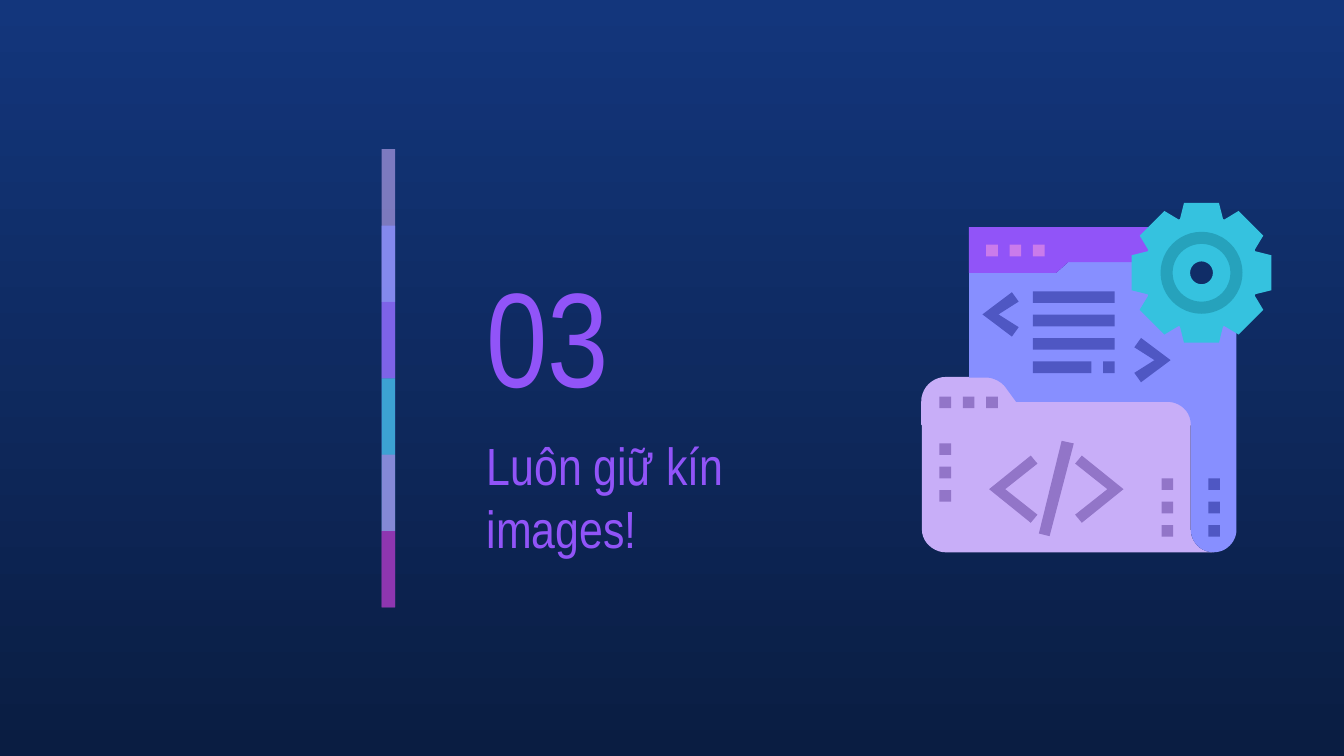
from math import cos, pi, sin

from lxml.etree import SubElement
from pptx import Presentation
from pptx.dml.color import RGBColor
from pptx.enum.shapes import MSO_SHAPE as Preset
from pptx.enum.text import MSO_ANCHOR as Anchor, MSO_AUTO_SIZE as AutoSize, PP_ALIGN as Align
from pptx.oxml.ns import qn
from pptx.util import Inches, Pt

SKY = RGBColor(0x13, 0x36, 0x7C)
NIGHT = RGBColor(0x0A, 0x1D, 0x42)
LILAC = RGBColor(0xC8, 0xAE, 0xF8)
PERIWINKLE = RGBColor(0x87, 0x8F, 0xFF)
VIOLET = RGBColor(0x91, 0x54, 0xF8)
CYAN = RGBColor(0x35, 0xC2, 0xDF)
TEAL = RGBColor(0x26, 0xA2, 0xBC)
ORCHID = RGBColor(0xCA, 0x7B, 0xEB)
MAGENTA = RGBColor(0x97, 0x2C, 0xB4)
PURPLE = RGBColor(0x92, 0x75, 0xC8)
INDIGO = RGBColor(0x4F, 0x57, 0xC3)

FONT = "Arial Narrow"
SLIDE_WIDTH = Inches(10)
SLIDE_HEIGHT = SLIDE_WIDTH * 9 // 16
STRIPES = [(LILAC, 59), (PERIWINKLE, 74), (VIOLET, 53),
           (CYAN, 76), (ORCHID, 56), (MAGENTA, 74)]
STRIPES_TOP, STRIPES_HEIGHT = 1.11, 3.41
STRIPE_STEP = STRIPES_HEIGHT / len(STRIPES)
GRID_LEFT, GRID_TOP = 6.99, 1.82
CELL = 2 / 23
GEAR_X, GEAR_Y = 8.94, 2.03

FOLDER = [(6.86, 3.16), (6.86, 3.94), (6.86, 4.03, 6.94, 4.11, 7.04, 4.11),
          (9.03, 4.11), (8.93, 4.11, 8.86, 4.03, 8.86, 3.94), (8.86, 3.16)]
FOLDER_TAB = [(7.04, 2.81), (6.94, 2.81, 6.86, 2.89, 6.86, 2.99), (6.86, 3.16),
              (8.86, 3.16), (8.86, 3.06, 8.78, 2.99, 8.68, 2.99), (7.56, 2.99),
              (7.48, 2.88), (7.45, 2.84, 7.39, 2.81, 7.34, 2.81)]
PAGE = [(7.95, 1.95), (7.86, 2.03), (7.21, 2.03), (7.21, 2.81), (7.34, 2.81),
        (7.39, 2.81, 7.45, 2.84, 7.48, 2.88), (7.56, 2.99), (8.68, 2.99),
        (8.78, 2.99, 8.86, 3.06, 8.86, 3.16), (8.86, 3.94),
        (8.86, 4.03, 8.93, 4.11, 9.03, 4.11), (9.08, 4.11, 9.12, 4.09, 9.15, 4.06),
        (9.18, 4.03, 9.2, 3.99, 9.2, 3.94), (9.2, 2.3), (9.12, 2.35),
        (8.94, 2.4), (8.75, 2.35), (8.6, 2.2), (8.6, 1.95)]
HEADER = [(7.21, 1.69), (7.21, 2.03), (7.86, 2.03), (7.95, 1.95),
          (8.55, 1.95), (8.55, 1.69)]
SLASH = [(7.9, 3.28), (7.73, 3.97), (7.81, 3.99), (7.99, 3.3)]
TOOTH = [(-0.16, -0.4), (-0.13, -0.52), (0.13, -0.52), (0.16, -0.4)]


def paint(shape, color):
    shape.shadow.inherit = False
    shape.fill.solid()
    shape.fill.fore_color.rgb = color
    shape.line.fill.background()
    return shape


def flatten(outline, steps=10):
    points = []
    for node in outline:
        if len(node) == 2:
            points.append(node)
            continue
        x0, y0 = points[-1]
        x1, y1, x2, y2, x3, y3 = node
        for step in range(1, steps + 1):
            t = step / steps
            a, b, c, d = (1 - t) ** 3, 3 * t * (1 - t) ** 2, 3 * t * t * (1 - t), t ** 3
            points.append((a * x0 + b * x1 + c * x2 + d * x3,
                           a * y0 + b * y1 + c * y2 + d * y3))
    return points


def add_outline(shapes, color, *contours):
    builder = None
    for contour in contours:
        start, *rest = [(Inches(x), Inches(y)) for x, y in flatten(contour)]
        if builder is None:
            builder = shapes.build_freeform(*start)
        else:
            builder.move_to(*start)
        builder.add_line_segments(rest, close=True)
    return paint(builder.convert_to_shape(), color)


def add_preset(shapes, preset, color, *box):
    return paint(shapes.add_shape(preset, *map(Inches, box)), color)


def add_cells(shapes, color, cells, span=1):
    for column, row in cells:
        add_preset(shapes, Preset.RECTANGLE, color, GRID_LEFT + column * CELL,
                   GRID_TOP + row * CELL, span * CELL, CELL)


def add_ring(shapes, color, size, thickness):
    ring = add_preset(shapes, Preset.DONUT, color,
                      GEAR_X - size / 2, GEAR_Y - size / 2, size, size)
    ring.adjustments[0] = thickness / size


def add_chevron(shapes, color, tip_x, middle, width, height, direction, notch_x, notch_y):
    outer, inner = tip_x + direction * (width - notch_x), tip_x + direction * width
    half = height / 2
    add_outline(shapes, color, [
        (outer, middle - half), (tip_x, middle), (outer, middle + half),
        (inner, middle + half - notch_y), (tip_x + direction * 2.4 * notch_x, middle),
        (inner, middle - half + notch_y)])


def add_gear(shapes):
    teeth = [(GEAR_X + x * cos(k * pi / 4) - y * sin(k * pi / 4),
              GEAR_Y + x * sin(k * pi / 4) + y * cos(k * pi / 4))
             for k in range(8) for x, y in TOOTH]
    hole = [(GEAR_X + 0.26 * cos(k * pi / 24), GEAR_Y - 0.26 * sin(k * pi / 24))
            for k in range(48)]
    add_ring(shapes, CYAN, 0.52, 0.175)
    add_outline(shapes, CYAN, teeth, hole)
    add_ring(shapes, TEAL, 0.61, 0.09)


def add_code_icon(slide):
    shapes = slide.shapes.add_group_shape().shapes
    add_outline(shapes, LILAC, FOLDER)
    tab = add_outline(shapes, LILAC, FOLDER_TAB)
    tab.line.color.rgb = LILAC
    tab.line.width = Pt(0.75)
    add_outline(shapes, PERIWINKLE, PAGE)
    add_outline(shapes, VIOLET, HEADER)
    add_gear(shapes)
    add_cells(shapes, ORCHID, [(column, 0) for column in (4, 6, 8)])
    add_cells(shapes, PURPLE, [(column, 13) for column in (0, 2, 4)])
    add_cells(shapes, PURPLE, [(0, row) for row in (17, 19, 21)])
    add_cells(shapes, PURPLE, [(19, row) for row in (20, 22, 24)])
    add_cells(shapes, INDIGO, [(23, row) for row in (20, 22, 24)])
    add_cells(shapes, INDIGO, [(8, row) for row in (4, 6, 8)], span=7)
    add_cells(shapes, INDIGO, [(8, 10)], span=5)
    add_cells(shapes, INDIGO, [(14, 10)])
    add_chevron(shapes, INDIGO, 7.31, 2.34, 0.27, 0.33, 1, 0.05, 0.07)
    add_chevron(shapes, INDIGO, 8.71, 2.68, 0.27, 0.33, -1, 0.05, 0.07)
    add_chevron(shapes, PURPLE, 7.36, 3.64, 0.36, 0.5, 1, 0.05, 0.06)
    add_chevron(shapes, PURPLE, 8.36, 3.64, 0.36, 0.5, -1, 0.05, 0.06)
    add_outline(shapes, PURPLE, SLASH)


def add_stripes(slide):
    shapes = slide.shapes.add_group_shape().shapes
    for index, (color, opacity) in enumerate(STRIPES):
        steps = min(2, len(STRIPES) - index)
        stripe = add_preset(shapes, Preset.RECTANGLE, color, 2.84,
                            STRIPES_TOP + index * STRIPE_STEP, 0.1, steps * STRIPE_STEP)
        tint = stripe.fill._xPr.find(qn("a:solidFill"))[0]
        SubElement(tint, qn("a:alpha")).set("val", str(opacity * 1000))


def fill_placeholder(holder, text, size, *box):
    holder.left, holder.top, holder.width, holder.height = map(Inches, box)
    frame = holder.text_frame
    frame.text = text
    frame.word_wrap = True
    frame.auto_size = AutoSize.NONE
    frame.vertical_anchor = Anchor.MIDDLE
    frame.margin_left = frame.margin_right = Inches(0.1)
    frame.margin_top = frame.margin_bottom = Inches(0.1)
    paragraph = frame.paragraphs[0]
    paragraph.alignment = Align.LEFT
    paragraph.space_before = Pt(0)
    font = paragraph.runs[0].font
    font.name, font.size, font.color.rgb = FONT, Pt(size), VIOLET


def set_background(slide):
    fill = slide.background.fill
    fill.gradient()
    fill.gradient_angle = 270
    for stop, color, position in zip(fill.gradient_stops, (SKY, NIGHT), (0, 1)):
        stop.color.rgb = color
        stop.position = position


def main():
    deck = Presentation()
    deck.slide_width, deck.slide_height = SLIDE_WIDTH, SLIDE_HEIGHT
    slide = deck.slides.add_slide(deck.slide_layouts[0])
    set_background(slide)
    add_stripes(slide)
    fill_placeholder(slide.placeholders[1], "03", 72, 3.52, 1.81, 1.75, 1.35)
    fill_placeholder(slide.shapes.title, "Luôn giữ kín images!", 28, 3.52, 3.15, 2.87, 1.08)
    add_code_icon(slide)
    deck.save("out.pptx")


if __name__ == "__main__":
    main()
